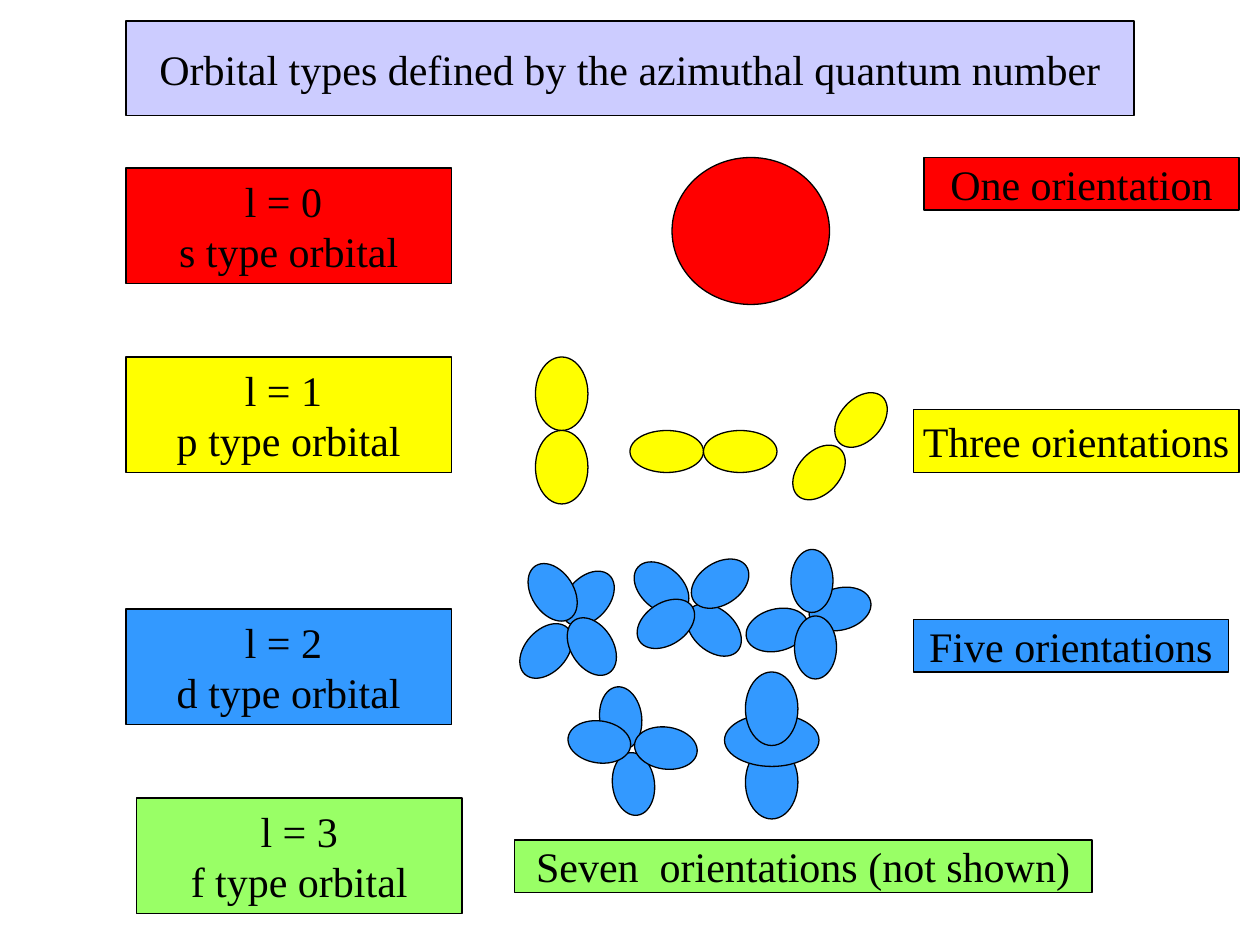
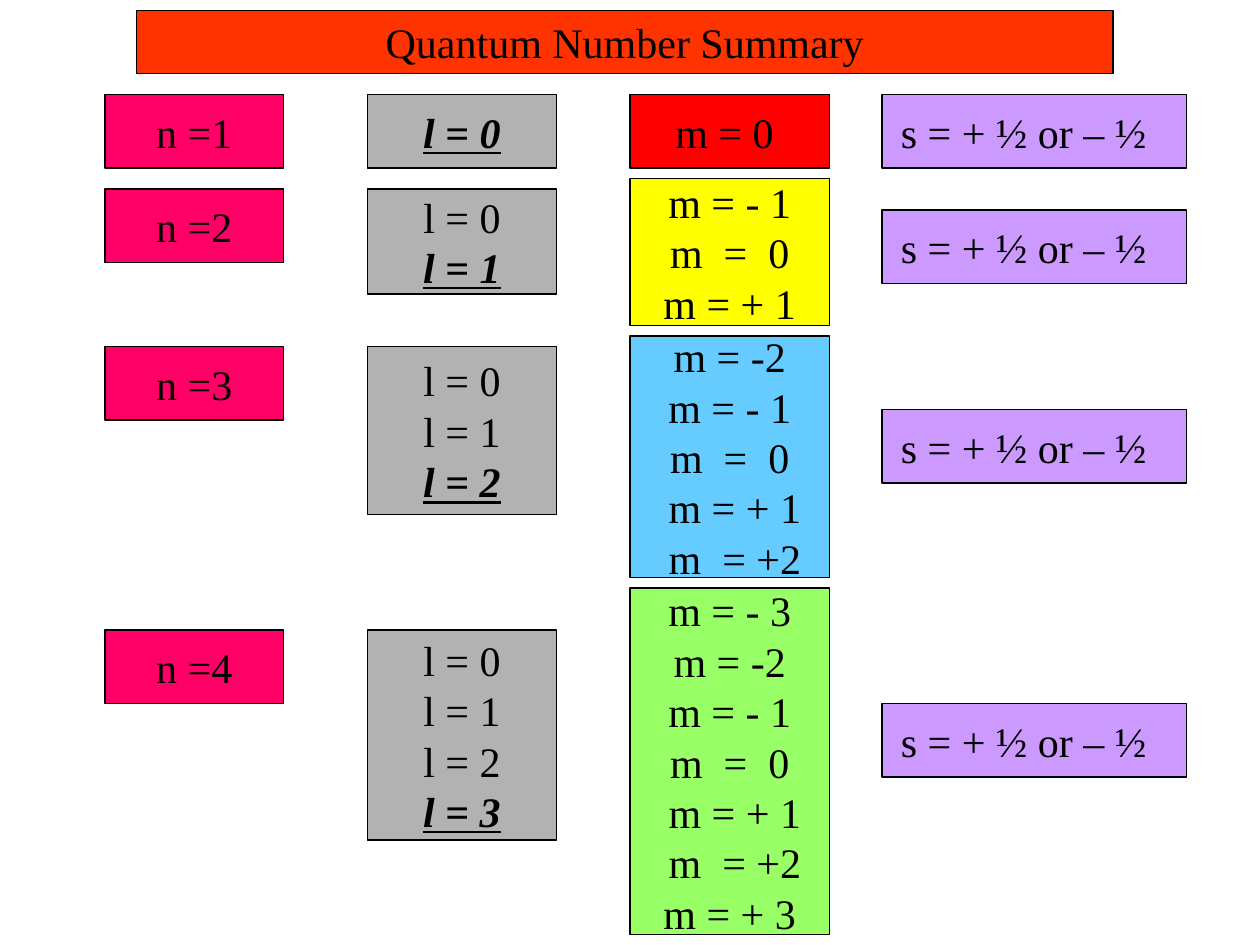
from pptx import Presentation
from pptx.dml.color import RGBColor
from pptx.enum.shapes import MSO_SHAPE
from pptx.enum.text import MSO_ANCHOR, PP_ALIGN
from pptx.util import Pt

# Shared style
FONT = "Times New Roman"
FONT_SIZE = 24
BLACK = "000000"
RED, YELLOW, BLUE, GREEN = "FF0000", "FFFF00", "3399FF", "99FF66"
LAVENDER, ORANGE, PINK = "CCCCFF", "FF3300", "FF0066"
GRAY, SKY, PURPLE = "B2B2B2", "66CCFF", "CC99FF"

# Orbitals: each lobe is left, top, width, height, rotation
LOBE = (24, 36)
P_ORBITALS = [
    [(306, 204, 30, 42, 0), (306, 246, 30, 42, 0)],
    [(360, 246, 42, 24, 0), (402, 246, 42, 24, 0)],
    [(480, 222, *LOBE, 42), (456, 252, *LOBE, 42)],
]
D_ORBITALS = [
    [(324, 324, *LOBE, 42), (300, 354, *LOBE, 42),
     (303.8, 320.5, *LOBE, 327), (326.2, 351.5, *LOBE, 327)],
    [(396, 342, *LOBE, 131.7), (366, 318, *LOBE, 131.7),
     (399.5, 315.5, *LOBE, 56.7), (368.5, 338.5, *LOBE, 56.7)],
    [(468, 330, *LOBE, 75.3), (432, 342, *LOBE, 75.3),
     (452, 314, *LOBE, 0.4), (454, 352, *LOBE, 0.4)],
    [(342.7, 392.4, *LOBE, 353.1), (350, 430, *LOBE, 353.1),
     (330.5, 406, *LOBE, 278.1), (368.5, 409.5, *LOBE, 278.1)],
    [(426, 426, 30, 42, 0), (414, 408, 54, 30, 0), (426, 384, 30, 42, 0)],
]

# Summary: n and l top, l height, m top, m height, m colour, m lines, s top
D_LINES = ["m = -2", "m = - 1", "m  =  0", " m = + 1", " m  = +2"]
SUMMARY_ROWS = [
    (54, 42, 54, 42, RED, ["m = 0 "], 54),
    (108, 60, 102, 84, YELLOW, ["m = - 1", "m  =  0", "m = + 1"], 120),
    (198, 96, 192, 138, SKY, D_LINES, 234),
    (360, 120, 336, 198, GREEN, ["m = - 3", *D_LINES, "m = + 3"], 402),
]


def color(hex_string):
    return RGBColor.from_string(hex_string)


def add_outlined(shapes, kind, left, top, width, height, fill):
    shape = shapes.add_shape(kind, Pt(left), Pt(top), Pt(width), Pt(height))
    shape.shadow.inherit = False
    shape.fill.solid()
    shape.fill.fore_color.rgb = color(fill)
    shape.line.color.rgb = color(BLACK)
    shape.line.width = Pt(0.74)
    return shape


def add_box(slide, left, top, width, height, fill, lines,
            emphasize_last=False, right_inset=7.2):
    shape = add_outlined(slide.shapes, MSO_SHAPE.RECTANGLE,
                         left, top, width, height, fill)
    frame = shape.text_frame
    frame.word_wrap = False
    frame.vertical_anchor = MSO_ANCHOR.MIDDLE
    frame.margin_right = Pt(right_inset)
    frame.text = "\n".join(lines)
    for paragraph in frame.paragraphs:
        paragraph.alignment = PP_ALIGN.CENTER
        paragraph.font.name = FONT
        paragraph.font.size = Pt(FONT_SIZE)
        paragraph.font.color.rgb = color(BLACK)
    if emphasize_last:
        font = frame.paragraphs[-1].font
        font.bold = font.italic = font.underline = True


def add_orbital(slide, lobes, fill):
    group = slide.shapes.add_group_shape()
    for left, top, width, height, rotation in lobes:
        lobe = add_outlined(group.shapes, MSO_SHAPE.OVAL,
                            left, top, width, height, fill)
        lobe.rotation = rotation


def build_orbital_types(slide):
    add_box(slide, 72, 12, 576, 54, LAVENDER,
            ["Orbital types defined by the azimuthal quantum number"])

    # Orbital names
    for left, top, fill, number, letter in [
            (72, 96, RED, "l = 0 ", "s"), (72, 204, YELLOW, "l = 1 ", "p"),
            (72, 348, BLUE, "l = 2 ", "d"), (78, 456, GREEN, "l = 3", "f")]:
        add_box(slide, left, top, 186, 66, fill,
                [number, f"{letter} type orbital"])

    # Orbital outlines
    add_outlined(slide.shapes, MSO_SHAPE.OVAL, 384, 90, 90, 84, RED)
    for fill, orbitals in [(YELLOW, P_ORBITALS), (BLUE, D_ORBITALS)]:
        for lobes in orbitals:
            add_orbital(slide, lobes, fill)

    # Orientation counts
    add_box(slide, 528, 90, 180, 30, RED, ["One orientation"])
    add_box(slide, 522, 234, 186, 36, YELLOW, ["Three orientations"])
    add_box(slide, 522, 354, 180, 30, BLUE, ["Five orientations"])
    add_box(slide, 294, 480, 330, 30, GREEN,
            ["Seven  orientations (not shown)"])


def build_summary(slide):
    add_box(slide, 78, 6, 558, 36, ORANGE, ["Quantum Number Summary"])
    for n, row in enumerate(SUMMARY_ROWS, start=1):
        top, l_height, m_top, m_height, m_fill, m_lines, s_top = row
        add_box(slide, 60, top, 102, 42, PINK, [f"n ={n}"])
        add_box(slide, 210, top, 108, l_height, GRAY,
                [f"l = {l_number}" for l_number in range(n)],
                emphasize_last=True)
        add_box(slide, 360, m_top, 114, m_height, m_fill, m_lines)
        add_box(slide, 504, s_top, 174, 42, PURPLE, ["s = + ½ or – ½"],
                right_inset=19.2)


def main():
    presentation = Presentation()
    presentation.slide_width = Pt(720)
    presentation.slide_height = Pt(540)
    blank = presentation.slide_layouts[6]
    for build in (build_orbital_types, build_summary):
        build(presentation.slides.add_slide(blank))
    presentation.save("out.pptx")


main()
